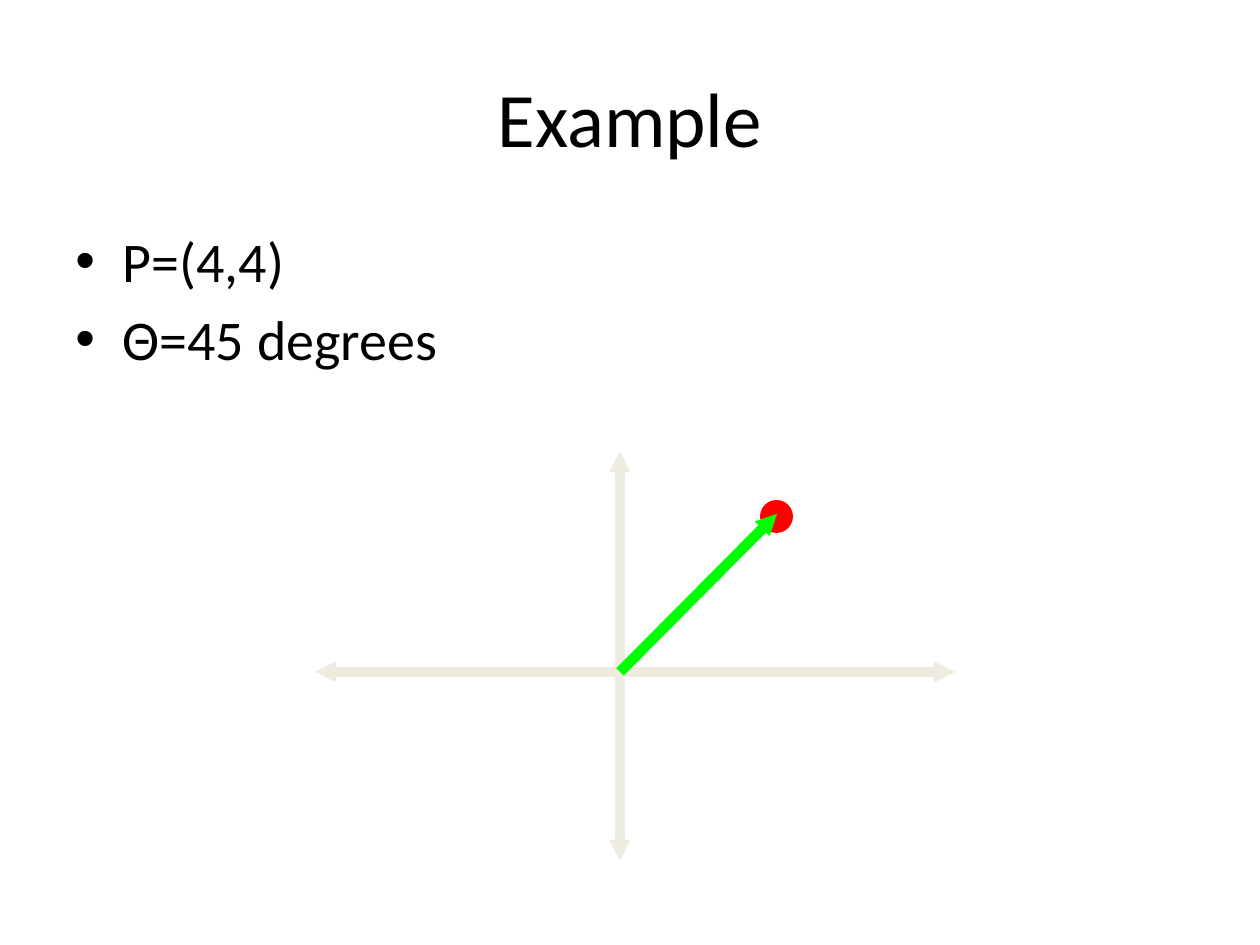
from lxml import etree
from pptx import Presentation
from pptx import util as u
from pptx.dml.color import RGBColor
from pptx.enum import shapes, text
from pptx.oxml import ns

PX = 914400 / 126
BLACK = RGBColor(0x00, 0x00, 0x00)
CREAM = RGBColor(0xEE, 0xEC, 0xE1)
RED = RGBColor(0xFF, 0x00, 0x00)
GREEN = RGBColor(0x00, 0xFF, 0x00)


def px(*vals):
    return [u.Emu(round(v * PX)) for v in vals]


def style(par, size):
    font = par.runs[0].font
    font.name = "Calibri"
    font.size = u.Pt(size)
    font.color.rgb = BLACK


deck = Presentation()
deck.slide_width, deck.slide_height = px(1260, 945)
slide = deck.slides.add_slide(deck.slide_layouts[5])

title = slide.shapes.title
title.left, title.top, title.width, title.height = px(63, 38, 1134, 157)
title.text_frame.text = "Example"
title.text_frame.vertical_anchor = text.MSO_ANCHOR.MIDDLE
title.text_frame.paragraphs[0].alignment = text.PP_ALIGN.CENTER
style(title.text_frame.paragraphs[0], 44)

body = slide.shapes.add_textbox(*px(63, 220, 1134, 624))
frame = body.text_frame
frame.word_wrap = True
frame.text = "P=(4,4)\nΘ=45 degrees"
for par in frame.paragraphs:
    style(par, 32)
    par.space_before = u.Pt(6.4)
    props = par._p.get_or_add_pPr()
    props.set("marL", "342900")
    props.set("indent", "-342900")
    etree.SubElement(props, ns.qn("a:buFont")).set("typeface", "Arial")
    etree.SubElement(props, ns.qn("a:buChar")).set("char", "•")

lines = [
    ((620, 451, 620, 861), CREAM, ("headEnd", "tailEnd")),
    ((315, 672, 955, 672), CREAM, ("headEnd", "tailEnd")),
    ((620, 672, 777, 514), GREEN, ("tailEnd",)),
]
for ends, color, tips in lines:
    if color == GREEN:
        dot = slide.shapes.add_shape(shapes.MSO_SHAPE.OVAL, *px(760, 500, 33, 33))
        dot.shadow.inherit = False
        dot.fill.solid()
        dot.fill.fore_color.rgb = RED
        dot.line.fill.background()
    line = slide.shapes.add_connector(shapes.MSO_CONNECTOR.STRAIGHT, *px(*ends))
    line.line.color.rgb = color
    line.line.width = u.Pt(6)
    for tip in tips:
        end = etree.SubElement(line.line._get_or_add_ln(), ns.qn("a:" + tip))
        end.set("type", "triangle")
        end.set("w", "sm")
        end.set("len", "sm")
    etree.SubElement(line._element.spPr, ns.qn("a:effectLst"))

deck.save("out.pptx")
